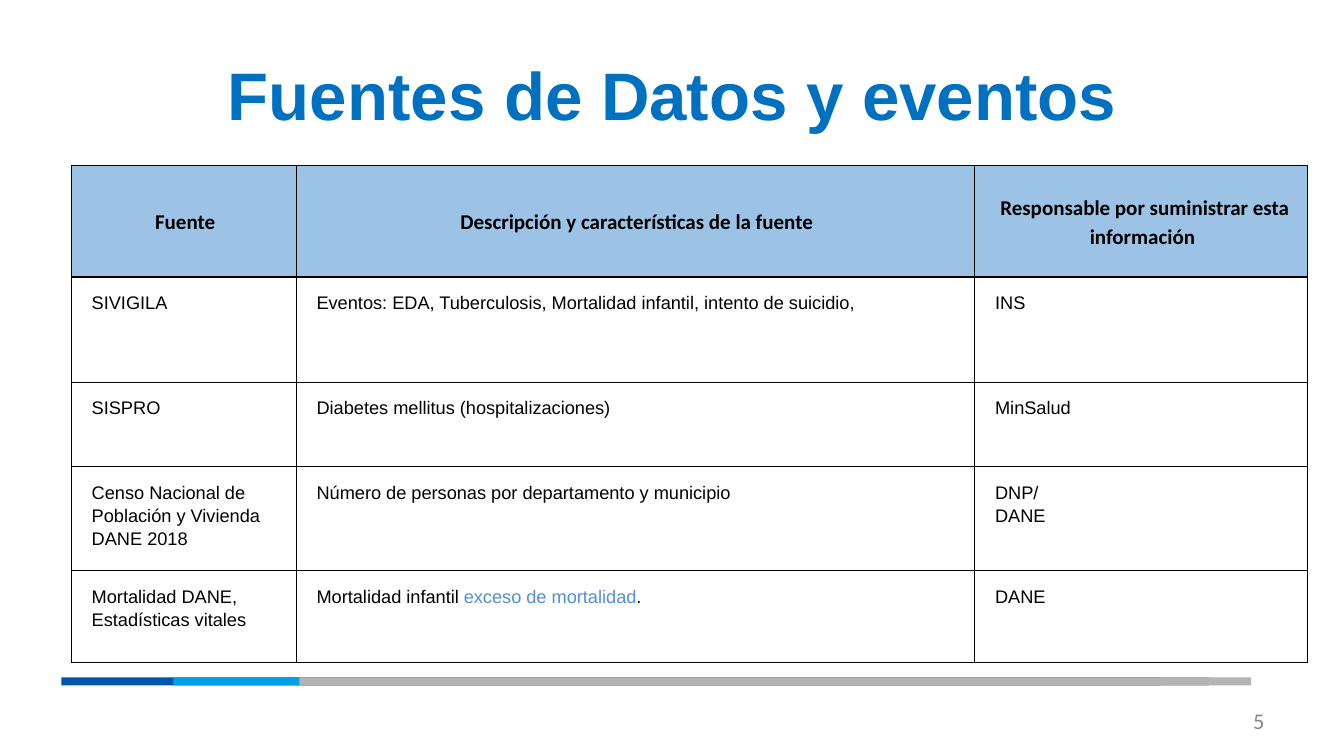
"""Build the slide that lists data sources and the health events they cover."""
from dataclasses import dataclass

from lxml import etree
from pptx import Presentation
from pptx.dml.color import RGBColor
from pptx.enum.shapes import MSO_SHAPE
from pptx.enum.text import MSO_ANCHOR, PP_ALIGN
from pptx.oxml.ns import qn
from pptx.util import Inches, Pt

RECTANGLE = MSO_SHAPE.RECTANGLE
TOP, MIDDLE = MSO_ANCHOR.TOP, MSO_ANCHOR.MIDDLE
LEFT, CENTER, RIGHT = PP_ALIGN.LEFT, PP_ALIGN.CENTER, PP_ALIGN.RIGHT

BLACK = RGBColor(0x00, 0x00, 0x00)
TITLE_BLUE = RGBColor(0x00, 0x70, 0xC0)
HEADER_BLUE = RGBColor(0x9C, 0xC3, 0xE5)
EMPHASIS_BLUE = RGBColor(0x55, 0x8E, 0xD5)
NUMBER_GRAY = RGBColor(0x88, 0x88, 0x88)
BAR_BLUE = RGBColor(0x00, 0x55, 0xA8)
BAR_CYAN = RGBColor(0x00, 0x9F, 0xE6)
BAR_GRAY = RGBColor(0xB4, 0xB4, 0xB4)

TABLE_LEFT = 0.71
COLUMN_WIDTHS = (2.23, 6.73, 3.3)
CELL_MARGIN = 0.13
CELL_INDENT = 0.07
BORDER_WIDTH = 0.75


@dataclass(frozen=True)
class TextStyle:
    font: str
    size: float
    color: RGBColor
    bold: bool = False
    align: PP_ALIGN = LEFT
    anchor: MSO_ANCHOR = MIDDLE


@dataclass(frozen=True)
class Span:
    text: str
    color: RGBColor


@dataclass(frozen=True)
class Label:
    text: str
    left: float
    top: float
    width: float
    height: float
    style: TextStyle


@dataclass(frozen=True)
class Bar:
    left: float
    width: float
    color: RGBColor


@dataclass(frozen=True)
class SourceTable:
    top: float
    row_heights: tuple
    rows: tuple
    style: TextStyle
    fill: RGBColor | None = None


TITLE_STYLE = TextStyle("Arial", 48, TITLE_BLUE, True, CENTER)
NUMBER_STYLE = TextStyle("Calibri", 16, NUMBER_GRAY, align=RIGHT)
HEADER_STYLE = TextStyle("Calibri", 15, BLACK, True, CENTER)
BODY_STYLE = TextStyle("Arial", 13, BLACK, anchor=TOP)

BARS = (
    Bar(0.61, 10.9, BAR_BLUE),
    Bar(1.72, 10.27, BAR_CYAN),
    Bar(2.97, 9.44, BAR_GRAY),
)
LABELS = (
    Label("5", 9.56, 6.95, 3.11, 0.4, NUMBER_STYLE),
    Label("Fuentes de Datos y eventos", 0.67, 0.3, 12, 1.25, TITLE_STYLE),
)
EXCESS_MORTALITY = (
    Span("Mortalidad infantil ", BLACK),
    Span("exceso de mortalidad", EMPHASIS_BLUE),
    Span(".", BLACK),
)
TABLES = (
    SourceTable(1.64, (1.1,), (
        ("Fuente ", "Descripción y características de la fuente ",
         "Responsable por suministrar esta información "),
    ), HEADER_STYLE, HEADER_BLUE),
    SourceTable(2.75, (1.04, 0.84, 1.03, 0.91), (
        ("SIVIGILA",
         "Eventos: EDA, Tuberculosis, Mortalidad infantil, intento de suicidio,",
         "INS"),
        ("SISPRO", "Diabetes mellitus (hospitalizaciones)", "MinSalud"),
        ("Censo Nacional de Población y Vivienda DANE 2018",
         "Número de personas por departamento y municipio", "DNP/\nDANE"),
        ("Mortalidad DANE,\nEstadísticas vitales", EXCESS_MORTALITY, "DANE"),
    ), BODY_STYLE),
)


def apply(target, values: dict) -> None:
    for name, value in values.items():
        setattr(target, name, value)


def write_paragraph(paragraph, spans, style: TextStyle) -> None:
    paragraph.alignment = style.align
    for span in spans:
        run = paragraph.add_run()
        run.text = span.text
        apply(run.font, {"name": style.font, "size": Pt(style.size), "bold": style.bold})
        run.font.color.rgb = span.color


def draw_label(slide, label: Label) -> None:
    box = slide.shapes.add_textbox(Inches(label.left), Inches(label.top),
                                   Inches(label.width), Inches(label.height))
    frame = box.text_frame
    apply(frame, {
        "word_wrap": True, "vertical_anchor": label.style.anchor,
        "margin_left": Inches(0.13), "margin_right": Inches(0.13),
        "margin_top": Inches(0.07), "margin_bottom": Inches(0.07),
    })
    write_paragraph(frame.paragraphs[0], (Span(label.text, label.style.color),), label.style)


def draw_bar(slide, bar: Bar) -> None:
    stripe = slide.shapes.add_shape(RECTANGLE, Inches(bar.left), Inches(6.72),
                                    Inches(bar.width), Inches(0.08))
    stripe.shadow.inherit = False
    stripe.fill.solid()
    stripe.fill.fore_color.rgb = bar.color
    stripe.line.fill.background()


def add_borders(cell) -> None:
    properties = cell._tc.get_or_add_tcPr()
    for position, side in enumerate(("lnL", "lnR", "lnT", "lnB")):
        border = etree.Element(qn(f"a:{side}"), w=str(Pt(BORDER_WIDTH)))
        fill = etree.SubElement(border, qn("a:solidFill"))
        etree.SubElement(fill, qn("a:srgbClr"), val=str(BLACK))
        properties.insert(position, border)


def fill_cell(cell, content, source: SourceTable) -> None:
    margins = {f"margin_{side}": Inches(CELL_MARGIN)
               for side in ("left", "right", "top", "bottom")}
    apply(cell, {"vertical_anchor": source.style.anchor, **margins})
    if source.fill is None:
        cell.fill.background()
    else:
        cell.fill.solid()
        cell.fill.fore_color.rgb = source.fill
    add_borders(cell)
    if isinstance(content, str):
        lines = [(Span(line, source.style.color),) for line in content.split("\n")]
    else:
        lines = [content]
    frame = cell.text_frame
    for index, spans in enumerate(lines):
        paragraph = frame.add_paragraph() if index else frame.paragraphs[0]
        paragraph.line_spacing = 1.15
        paragraph._p.get_or_add_pPr().set("marL", str(Inches(CELL_INDENT)))
        write_paragraph(paragraph, spans, source.style)


def draw_table(slide, source: SourceTable) -> None:
    table = slide.shapes.add_table(
        len(source.rows), len(COLUMN_WIDTHS), Inches(TABLE_LEFT), Inches(source.top),
        Inches(sum(COLUMN_WIDTHS)), Inches(sum(source.row_heights))).table
    apply(table, {"first_row": False, "horz_banding": False})
    for column, width in zip(table.columns, COLUMN_WIDTHS):
        column.width = Inches(width)
    for row, height, contents in zip(table.rows, source.row_heights, source.rows):
        row.height = Inches(height)
        for cell, content in zip(row.cells, contents):
            fill_cell(cell, content, source)


def main() -> None:
    deck = Presentation()
    apply(deck, {"slide_width": Inches(13.33), "slide_height": Inches(7.5)})
    slide = deck.slides.add_slide(deck.slide_layouts[6])
    for bar in BARS:
        draw_bar(slide, bar)
    for label in LABELS:
        draw_label(slide, label)
    for source in TABLES:
        draw_table(slide, source)
    deck.save("out.pptx")


if __name__ == "__main__":
    main()
